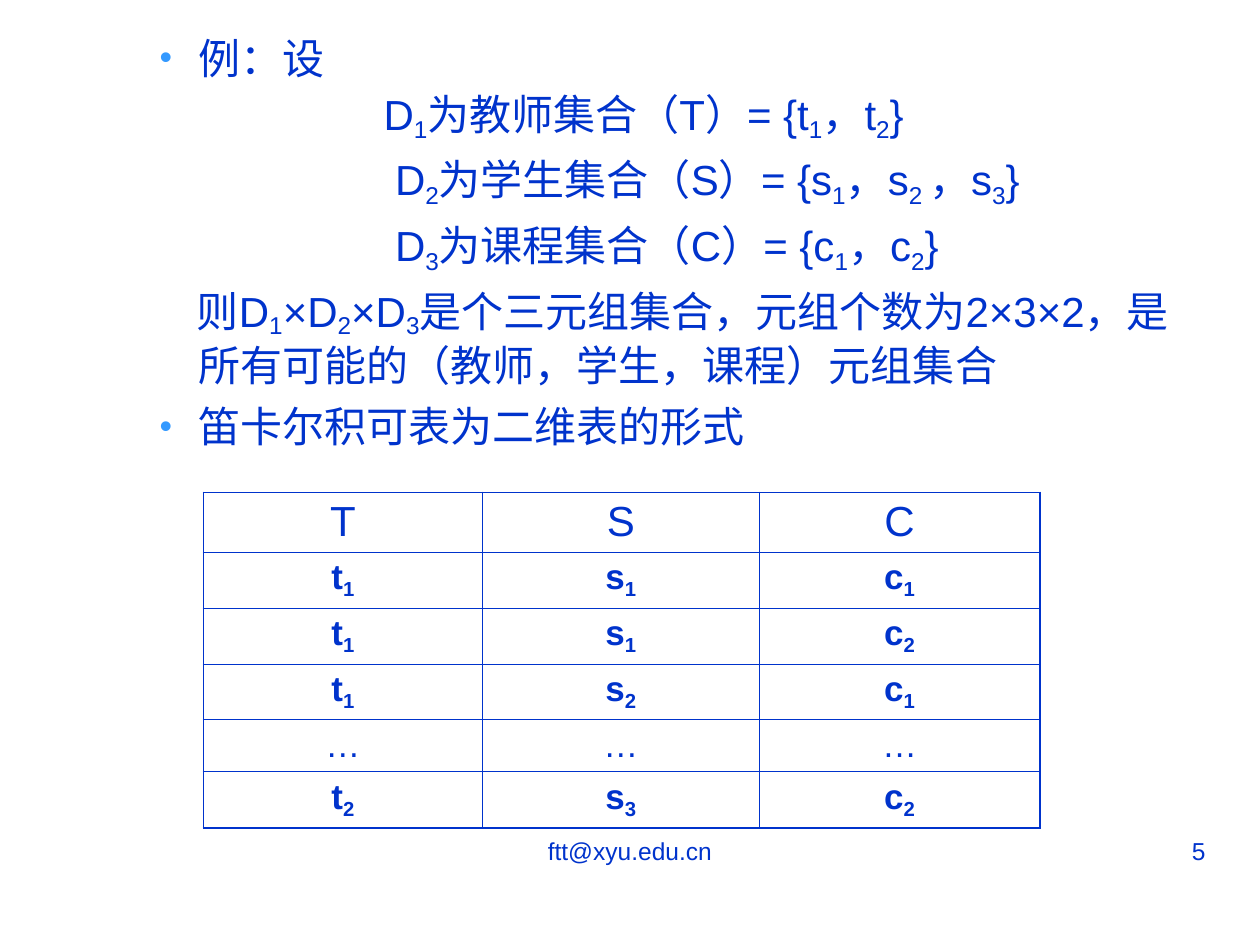
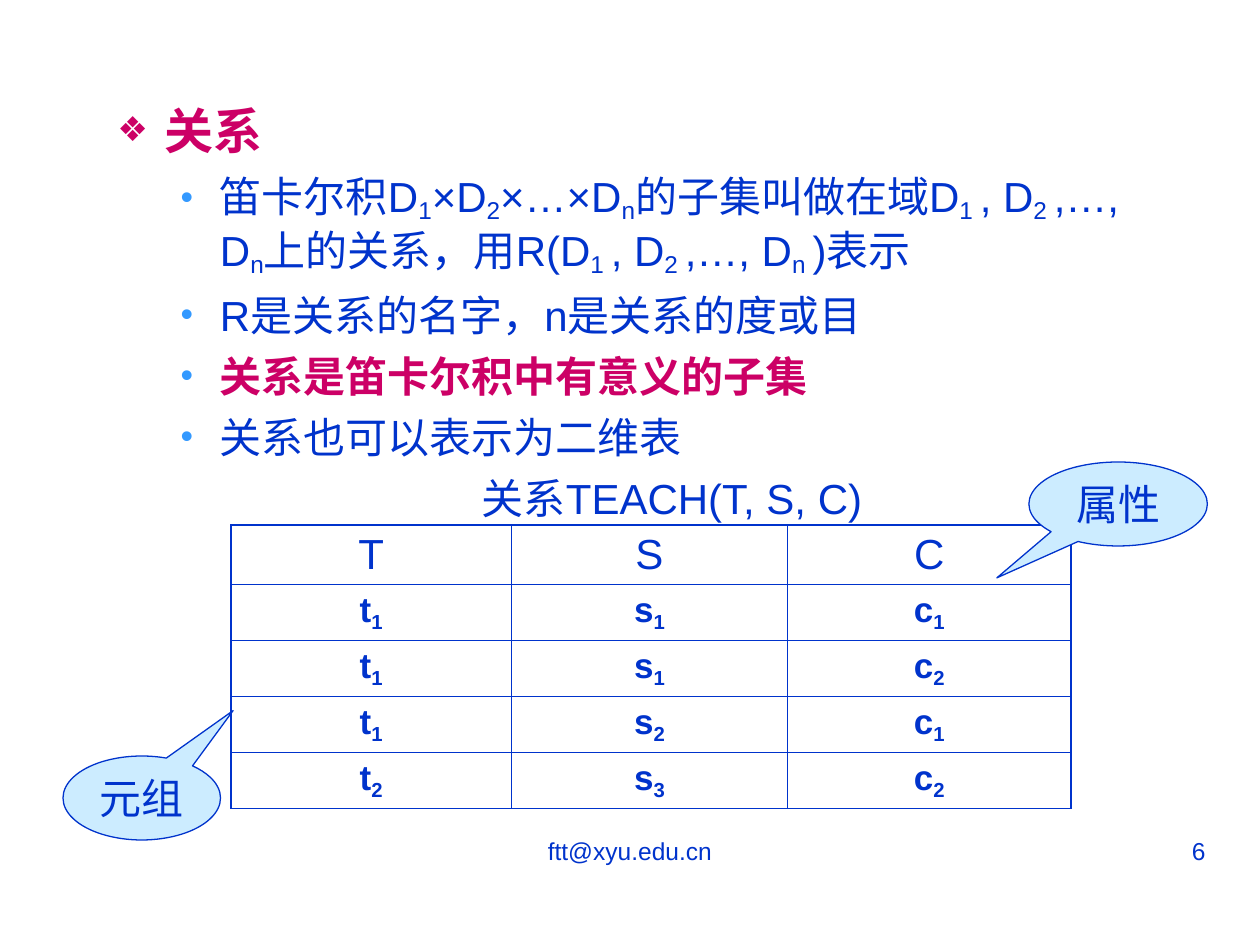
import pptx
import pptx.util
import pptx.dml.color
import pptx.enum.shapes
import pptx.enum.text
import pptx.oxml.ns
import lxml.etree

BLUE, ROSE, SKY, PALE = "0033CC", "CC0066", "3399FF", "CCECFF"
FONT, ROUND = "Arial", "Cabin"
ALIGN = pptx.enum.text.PP_ALIGN
MIDDLE = pptx.enum.text.MSO_ANCHOR.MIDDLE
COLS = 120
WIDE, HIGH = pptx.util.Inches(10), pptx.util.Inches(7.5)
UNIT = WIDE / COLS
HEAD, DATA, DOTS = 5.67, 5.33, 4.95
STEP, HANG = 9.77, 3.75
EDGE, INNER = 1.08, 0.45


def grid(*cells):
    return [round(cell * UNIT) for cell in cells]


def paint(code):
    return pptx.dml.color.RGBColor.from_string(code)


def add(parent, tag, **attrs):
    node = lxml.etree.SubElement(parent, pptx.oxml.ns.qn("a:" + tag))
    for key, value in attrs.items():
        node.set(key, str(value))
    return node


def write(para, text, size, color=BLUE, bold=False, font=FONT, align=None,
          before=0, sub=-20):
    """Fill a paragraph; every second part between underscores is a subscript."""
    para.alignment = align
    para.space_before = pptx.util.Pt(before)
    for place, part in enumerate(text.split("_")):
        if not part:
            continue
        run = para.add_run()
        run.text = part
        run.font.size = pptx.util.Pt(size)
        run.font.name = font
        run.font.bold = bold
        run.font.color.rgb = paint(color)
        if place % 2:
            run.font._element.set("baseline", str(sub * 1000))


def indent(para, left, first=0):
    props = para._p.get_or_add_pPr()
    left, first = grid(left, first)
    props.set("marL", str(left))
    props.set("indent", str(first))
    return props


def bullet(props, char, color, share):
    add(add(props, "buClr"), "srgbClr", val=color)
    add(props, "buSzPct", val=share * 1000)
    add(props, "buFont", typeface=FONT)
    add(props, "buChar", char=char)


def textbox(slide, box):
    frame = slide.shapes.add_textbox(*grid(*box)).text_frame
    frame.word_wrap = True
    return frame


def footer(slide, number):
    for box, text, align in (
        ((41, 79, 38, 6.25), "ftt@xyu.edu.cn", ALIGN.CENTER),
        ((86, 79, 30, 6.25), str(number), ALIGN.RIGHT),
    ):
        write(textbox(slide, box).paragraphs[0], text, 14, align=align)


def title(para, text):
    write(para, text, 28, ROSE, True, before=7)
    bullet(indent(para, 4.5, -4.5), "❖", ROSE, 70)


def point(para, text, **style):
    write(para, text, 24, before=6, sub=-18, **style)
    bullet(indent(para, STEP, -HANG), "•", SKY, 85)


def plain(para, text, left=STEP, first=0, before=6, **style):
    write(para, text, 24, before=before, **style)
    indent(para, left, first)


def body(slide, box, items):
    """Write items of (kind, text, style), one paragraph each."""
    frame = textbox(slide, box)
    for place, (kind, text, style) in enumerate(items):
        para = frame.add_paragraph() if place else frame.paragraphs[0]
        kind(para, text, **style)


def border(cell, widths):
    props = cell._tc.get_or_add_tcPr()
    for place, (side, width) in enumerate(widths.items()):
        line = add(props, "ln" + side, w=pptx.util.Pt(width))
        add(add(line, "solidFill"), "srgbClr", val=BLUE)
        props.remove(line)
        props.insert(place, line)


def table(slide, left, top, widths, rows):
    """Draw rows of cell text, the first of them as the heading."""
    heights = [HEAD] + [DOTS if row[0] == "…" else DATA for row in rows[1:]]
    box = grid(left, top, sum(widths), sum(heights))
    sheet = slide.shapes.add_table(len(rows), len(widths), *box).table
    sheet.first_row = sheet.horz_banding = False
    for col, width in zip(sheet.columns, grid(*widths)):
        col.width = width
    for row, high in zip(sheet.rows, grid(*heights)):
        row.height = high
    for y, row in enumerate(rows):
        for x, text in enumerate(row):
            cell = sheet.cell(y, x)
            cell.fill.background()
            cell.margin_bottom = 0  # keeps the text from stretching its row
            write(cell.text_frame.paragraphs[0], text, 20 if y else 24,
                  bold=y > 0 and text != "…", align=ALIGN.CENTER,
                  before=5 if y else 6)
            border(cell, {
                "L": INNER if x else EDGE,
                "R": EDGE if x == len(row) - 1 else INNER,
                "T": INNER if y else EDGE,
                "B": EDGE if y == len(rows) - 1 else INNER,
            })


def callout(slide, box, tip, text):
    kind = pptx.enum.shapes.MSO_SHAPE.OVAL_CALLOUT
    shape = slide.shapes.add_shape(kind, *grid(*box))
    shape.shadow.inherit = False
    for place, value in enumerate(tip):
        shape.adjustments[place] = value
    shape.fill.solid()
    shape.fill.fore_color.rgb = paint(PALE)
    shape.line.color.rgb = paint(BLUE)
    shape.line.width = pptx.util.Pt(0.75)
    frame = shape.text_frame
    frame.word_wrap = False
    frame.vertical_anchor = MIDDLE
    write(frame.paragraphs[0], text, 24, font=ROUND, align=ALIGN.CENTER)


def tuples(*picks):
    """Turn picks such as 112 into the cells t1, s1, c2."""
    return [[f"{name}_{digit}_" for name, digit in zip("tsc", str(pick))]
            for pick in picks]


NAMES = ["T", "S", "C"]
FIRST, LAST = tuples(111, 112, 121), tuples(232)


def product(slide):
    body(slide, (8, 2.5, 106, 54), [
        (point, "例：设", {}),
        (plain, "D_1_为教师集合（T）= {t_1_，t_2_}", {"left": 27.35, "before": 3}),
        (plain, "D_2_为学生集合（S）= {s_1_，s_2 _，s_3_}", {"left": 28.45}),
        (plain, "D_3_为课程集合（C）= {c_1_，c_2_}", {"left": 28.45}),
        (plain, "则D_1_×D_2_×D_3_是个三元组集合，元组个数为2×3×2，"
                "是所有可能的（教师，学生，课程）元组集合",
         {"first": -0.2, "sub": -18}),
        (point, "笛卡尔积可表为二维表的形式", {}),
    ])
    table(slide, 19.38, 46.9, (26.55, 26.4, 26.7),
          [NAMES, *FIRST, ["…"] * 3, *LAST])


def relation(slide):
    body(slide, (10, 9, 102, 54), [
        (title, "关系", {}),
        (point, "笛卡尔积D_1_×D_2_×…×D_n_的子集叫做在域D_1 _, D_2 _,…, D_n_"
                "上的关系，用R(D_1 _, D_2 _,…, D_n _)表示", {}),
        (point, "R是关系的名字，n是关系的度或目", {}),
        (point, "关系是笛卡尔积中有意义的子集", {"color": ROSE, "bold": True}),
        (point, "关系也可以表示为二维表", {}),
        (plain, "关系TEACH(T, S, C)", {"first": -HANG, "align": ALIGN.CENTER}),
    ])
    table(slide, 22, 50, (26.7, 26.3, 27), [NAMES, *FIRST, *LAST])
    callout(slide, (6, 72, 15, 8), (0.58, -1.04), "元组")
    callout(slide, (98, 44, 17, 8), (-0.68, 0.88), "属性")


def main():
    deck = pptx.Presentation()
    deck.slide_width, deck.slide_height = WIDE, HIGH
    for number, fill in enumerate((product, relation), 5):
        slide = deck.slides.add_slide(deck.slide_layouts[6])
        footer(slide, number)
        fill(slide)
    deck.save("out.pptx")


if __name__ == "__main__":
    main()
